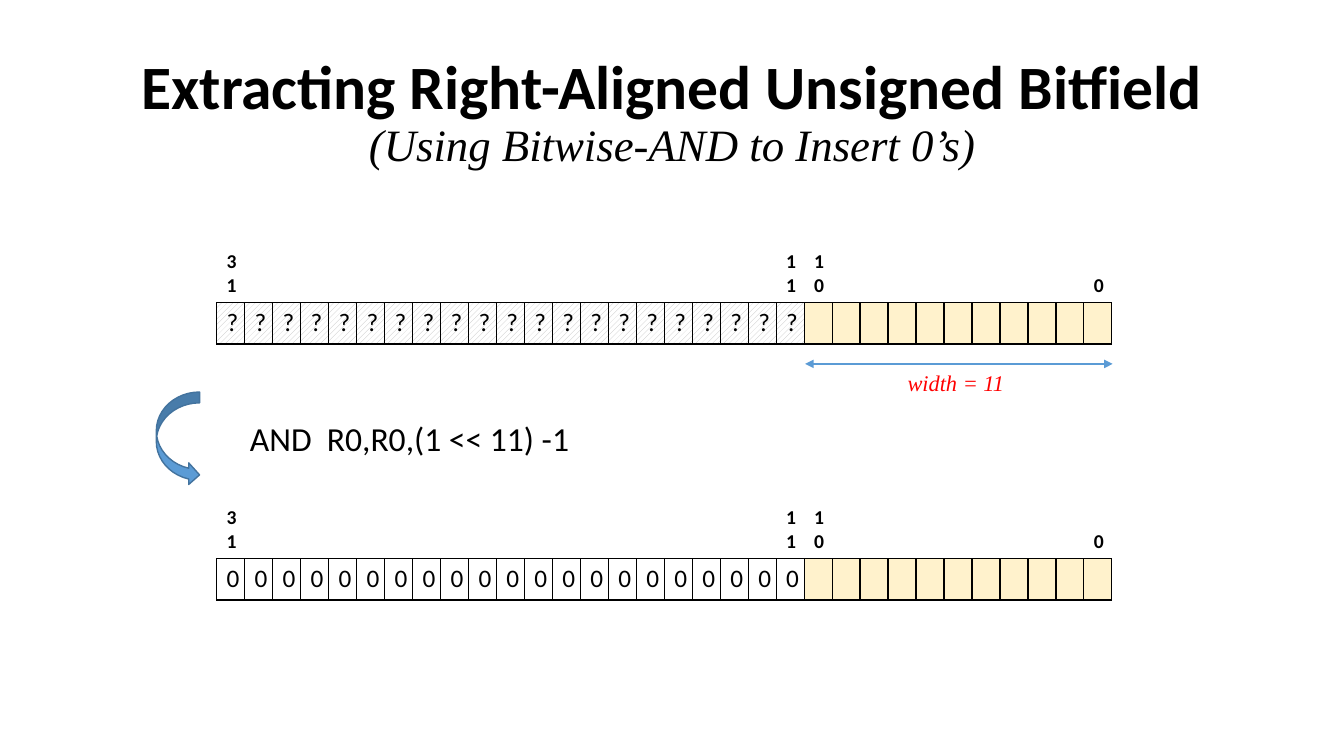
from dataclasses import dataclass

from lxml.etree import SubElement
from pptx import Presentation
from pptx.dml.color import RGBColor as RGB
from pptx.enum.dml import MSO_PATTERN
from pptx.enum.shapes import MSO_CONNECTOR, MSO_SHAPE
from pptx.enum.text import MSO_ANCHOR, MSO_AUTO_SIZE, PP_ALIGN
from pptx.oxml import parse_xml
from pptx.oxml.ns import nsdecls, qn
from pptx.slide import Slide
from pptx.table import _Cell as Cell
from pptx.util import Cm, Pt


@dataclass(frozen=True)
class Theme:
    sans: str = "Calibri"
    serif: str = "Times New Roman"
    black: str = "000000"
    white: str = "FFFFFF"
    hatch: str = "BFBFBF"
    field: str = "FFF2CC"
    blue: str = "5B9BD5"
    dark_blue: str = "43739E"
    red: str = "FF0000"
    title: int = 44
    subtitle: int = 32
    code: int = 24
    bit: int = 18
    width: int = 16
    index: int = 14


@dataclass(frozen=True)
class Register:
    top: float
    upper_bit: str
    hatched: bool


@dataclass(frozen=True)
class Label:
    text: str
    left: float
    top: float
    width: float
    height: float
    size: int
    font: str
    color: str
    italic: bool = False
    align: PP_ALIGN = PP_ALIGN.LEFT


T = Theme()
BITS = 32
FIELD_WIDTH = 11
INDEXED_BITS = (BITS - 1, FIELD_WIDTH, FIELD_WIDTH - 1, 0)
TABLE_LEFT, TABLE_WIDTH, TABLE_HEIGHT, ROW_HEIGHT = 5.46, 22.58, 2.46, 1.04
ARROW_Y = 9.17

REGISTERS = (
    Register(6.17, "?", hatched=True),
    Register(12.62, "0", hatched=False),
)
LABELS = (
    Label("AND  R0,R0,(1 << 11) -1", 6.05, 10.41, 8.89, 1.27, T.code, T.sans, T.black),
    Label(f"width = {FIELD_WIDTH}", 21.84, 9.17, 4.5, 0.94, T.width, T.serif, T.red,
          italic=True, align=PP_ALIGN.CENTER),
)


def style_font(font, name: str, size: int, color: str, bold: bool = False,
               italic: bool = False) -> None:
    font.name, font.size, font.bold, font.italic = name, Pt(size), bold, italic
    font.color.rgb = RGB.from_string(color)


def add_title(s: Slide) -> None:
    title = s.shapes.title
    title.left, title.top, title.width, title.height = Cm(2.34), Cm(1.02), Cm(29.21), Cm(3.68)
    tf = title.text_frame
    tf.auto_size, tf.vertical_anchor = MSO_AUTO_SIZE.NONE, MSO_ANCHOR.MIDDLE
    p = tf.paragraphs[0]
    p.alignment, p.line_spacing = PP_ALIGN.CENTER, 0.9
    r = p.add_run()
    r.text = "Extracting Right-Aligned Unsigned Bitfield"
    style_font(r.font, T.sans, T.title, T.black, bold=True)
    p.add_line_break()
    r = p.add_run()
    r.text = "(Using Bitwise-AND to Insert 0’s)"
    style_font(r.font, T.serif, T.subtitle, T.black, italic=True)


def set_borders(cell: Cell, color: str, bottom: str) -> None:
    """Draw 1 pt borders; the bottom one may differ in colour."""
    sides = {"lnL": color, "lnR": color, "lnT": color, "lnB": bottom}
    tc_pr = cell._tc.get_or_add_tcPr()
    for i, (side, rgb) in enumerate(sides.items()):
        tc_pr.insert(i, parse_xml(
            f'<a:{side} {nsdecls("a")} w="12700"><a:solidFill>'
            f'<a:srgbClr val="{rgb}"/></a:solidFill></a:{side}>'))


def write_cell(cell: Cell, text: str, size: int, bold: bool = False) -> None:
    p = cell.text_frame.paragraphs[0]
    p.text = text
    style_font(p.font, T.sans, size, T.black, bold=bold)


def fill_bit(cell: Cell, in_field: bool, hatched: bool) -> None:
    fill = cell.fill
    if in_field:
        fill.solid()
        fill.fore_color.rgb = RGB.from_string(T.field)
    elif hatched:
        fill.patterned()
        fill.pattern = MSO_PATTERN.WIDE_UPWARD_DIAGONAL
        fill.fore_color.rgb = RGB.from_string(T.hatch)
        fill.back_color.rgb = RGB.from_string(T.white)
    else:
        fill.background()


def add_register(s: Slide, reg: Register) -> None:
    """Draw a row of bit numbers above a row of bits, highest bit first."""
    frame = s.shapes.add_table(2, BITS, Cm(TABLE_LEFT), Cm(reg.top),
                               Cm(TABLE_WIDTH), Cm(TABLE_HEIGHT))
    table = frame.table
    table.first_row = table.horz_banding = False
    for row in table.rows:
        row.height = Cm(ROW_HEIGHT)
    frame.height = Cm(TABLE_HEIGHT)
    for col in range(BITS):
        bit = BITS - 1 - col
        index, value = table.cell(0, col), table.cell(1, col)
        index.fill.background()
        index.vertical_anchor = MSO_ANCHOR.BOTTOM
        set_borders(index, T.white, bottom=T.black)
        if bit in INDEXED_BITS:
            write_cell(index, str(bit), T.index, bold=True)
        in_field = bit < FIELD_WIDTH
        fill_bit(value, in_field, reg.hatched)
        set_borders(value, T.black, bottom=T.black)
        if not in_field:
            write_cell(value, reg.upper_bit, T.bit)


def add_label(s: Slide, label: Label) -> None:
    box = s.shapes.add_textbox(Cm(label.left), Cm(label.top), Cm(label.width), Cm(label.height))
    tf = box.text_frame
    tf.word_wrap, tf.auto_size = True, MSO_AUTO_SIZE.SHAPE_TO_FIT_TEXT
    p = tf.paragraphs[0]
    p.text, p.alignment = label.text, label.align
    style_font(p.font, label.font, label.size, label.color, italic=label.italic)


def add_step_arrow(s: Slide) -> None:
    arrow = s.shapes.add_shape(MSO_SHAPE.CURVED_RIGHT_ARROW,
                               Cm(3.94), Cm(9.88), Cm(1.09), Cm(2.36))
    arrow.shadow.inherit = False
    arrow.fill.solid()
    arrow.fill.fore_color.rgb = RGB.from_string(T.blue)
    arrow.line.color.rgb = RGB.from_string(T.dark_blue)
    arrow.line.width = Pt(1)


def add_width_arrow(s: Slide) -> None:
    line = s.shapes.add_connector(MSO_CONNECTOR.STRAIGHT, Cm(20.29), Cm(ARROW_Y),
                                  Cm(TABLE_LEFT + TABLE_WIDTH), Cm(ARROW_Y))
    line.line.color.rgb = RGB.from_string(T.blue)
    line.line.width = Pt(2)
    for end in ("a:headEnd", "a:tailEnd"):
        SubElement(line.line._get_or_add_ln(), qn(end), type="triangle")
    SubElement(line._element.spPr, qn("a:effectLst"))


def main() -> None:
    prs = Presentation()
    prs.slide_width, prs.slide_height = Cm(33.87), Cm(19.05)
    s = prs.slides.add_slide(prs.slide_layouts.get_by_name("Title Only"))
    add_title(s)
    for reg in REGISTERS:
        add_register(s, reg)
    add_step_arrow(s)
    add_width_arrow(s)
    for label in LABELS:
        add_label(s, label)
    prs.save("out.pptx")


if __name__ == "__main__":
    main()
